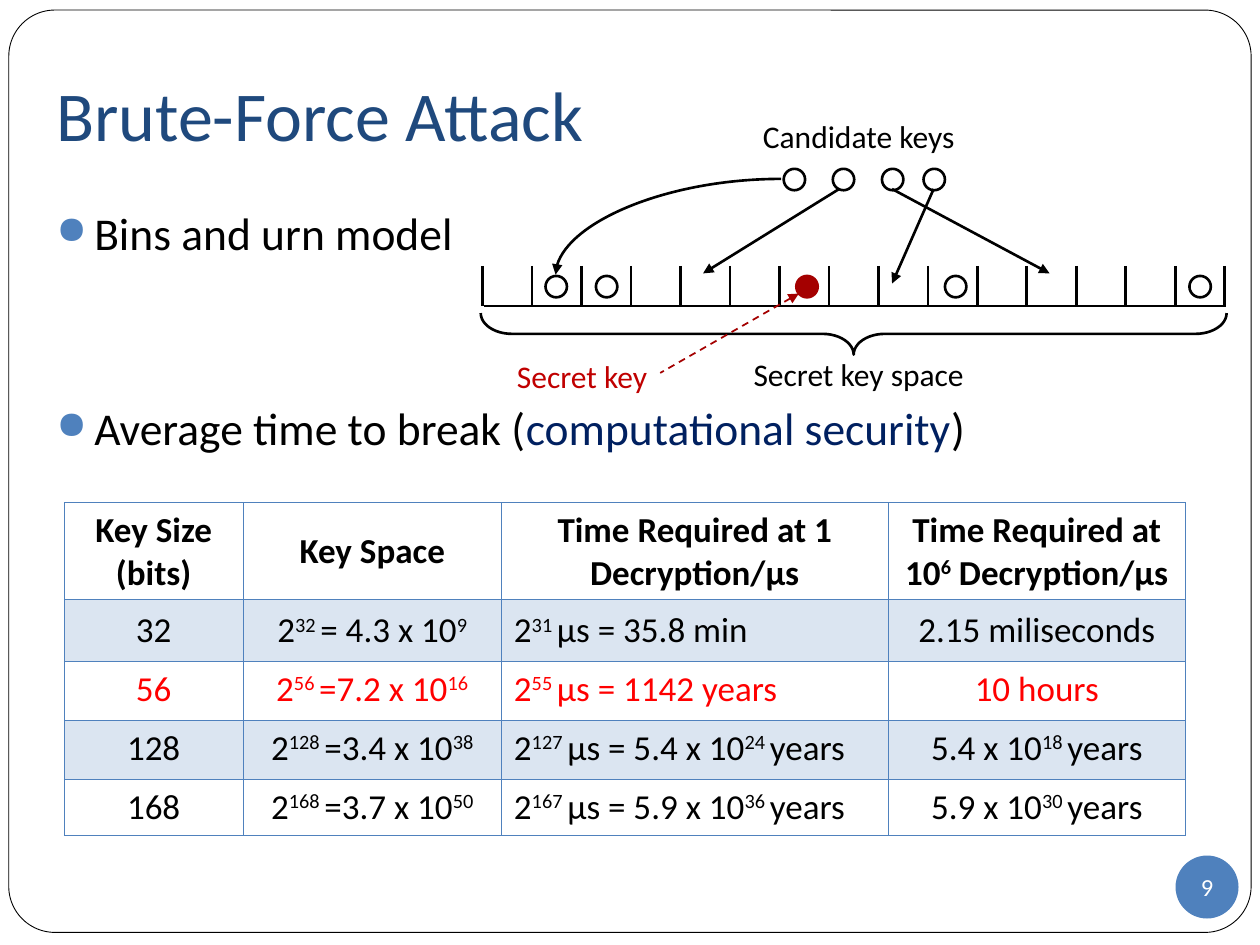
from typing import NamedTuple

from lxml import etree
from pptx import Presentation
from pptx.dml.color import RGBColor
from pptx.enum.dml import MSO_LINE
from pptx.enum.shapes import MSO_CONNECTOR, MSO_SHAPE
from pptx.enum.text import MSO_ANCHOR, PP_ALIGN
from pptx.oxml.ns import qn
from pptx.util import Inches, Pt

LEFT, CENTER = PP_ALIGN.LEFT, PP_ALIGN.CENTER
TOP, MIDDLE = MSO_ANCHOR.TOP, MSO_ANCHOR.MIDDLE
LINE, CURVE = MSO_CONNECTOR.STRAIGHT, MSO_CONNECTOR.CURVE
OVAL, CARD, BRACE = MSO_SHAPE.OVAL, MSO_SHAPE.ROUNDED_RECTANGLE, MSO_SHAPE.RIGHT_BRACE
DASH = MSO_LINE.DASH
BLACK, WHITE, BLUE, RED = "000000", "FFFFFF", "4F81BD", "A40000"


class Ball(NamedTuple):
    x: float
    y: float
    fill: str = ""
    line: str = BLACK


class Link(NamedTuple):
    x1: float
    y1: float
    x2: float
    y2: float
    kind: int = LINE
    end: str = "tailEnd"
    color: str = BLACK
    width: float = 1.5


class Label(NamedTuple):
    text: str
    x: float
    y: float
    w: float
    color: str = BLACK


BALLS = (
    [Ball(x, 2.19) for x in (4.33, 4.73, 7.5, 9.44)]
    + [Ball(x, 1.34) for x in (6.22, 6.61, 7, 7.33)]
    + [Ball(6.32, 2.19, RED, RED)]
)
WALLS = 16
STEP = 5.89 / (WALLS - 1)
BINS = [Link(3.84, 2.43, 9.73, 2.43, end="")] + [
    Link(3.83 + i * STEP, 2.11, 3.83 + i * STEP, 2.43, end="") for i in range(WALLS)
]
ARROWS = [
    Link(6.2, 1.42, 4.41, 2.18, CURVE),
    Link(6.66, 1.5, 5.58, 2.17),
    Link(7.08, 1.5, 8.33, 2.17),
    Link(7.41, 1.5, 7.08, 2.25),
    Link(6.34, 2.33, 5.24, 2.96, end="headEnd", color=RED, width=1),
]
LABELS = [
    Label("Candidate keys", 5.79, 0.91, 2.05),
    Label("Secret key space", 5.79, 2.8, 2.05),
    Label("Secret key", 3.95, 2.81, 1.34, "C00000"),
]
COLS = (1.42, 2.05, 3.07, 2.36)
ROWS = (0.77, 0.49, 0.47, 0.47, 0.44)
CELLS = [
    ["Key Size (bits)", "Key Space", "Time Required at 1 Decryption/μs",
     "Time Required at 10^6^ Decryption/μs"],
    ["32", "2^32 ^= 4.3 x 10^9", "2^31 ^μs = 35.8 min", "2.15 miliseconds"],
    ["56", "2^56 ^=7.2 x 10^16", "2^55 ^μs = 1142 years", "10 hours"],
    ["128", "2^128 ^=3.4 x 10^38", "2^127 ^μs = 5.4 x 10^24 ^years", "5.4 x 10^18 ^years"],
    ["168", "2^168 ^=3.7 x 10^50", "2^167 ^μs = 5.9 x 10^36 ^years", "5.9 x 10^30 ^years"],
]


def rgb(code: str) -> RGBColor:
    """Turn a hex string into a colour."""
    return RGBColor.from_string(code)


def sub(parent, tag: str, **attrs: str):
    """Append a drawing element and return it."""
    return etree.SubElement(parent, qn("a:" + tag), attrs)


def write(para, text: str, *, size: float, color: str = BLACK, bold: bool = False,
          align: int = LEFT, accent: str = "") -> None:
    """Write text whose parts between carets are accented, or else raised."""
    para.alignment = align
    for i, part in enumerate(text.split("^")):
        if not part:
            continue
        run = para.add_run()
        run.text = part
        font = run.font
        font.name, font.size, font.bold = "Calibri", Pt(size), bold
        font.color.rgb = rgb(accent if i % 2 and accent else color)
        if i % 2 and not accent:
            run._r.get_or_add_rPr().set("baseline", "30000")


def setup(frame, pads: tuple, *, wrap: bool = True, anchor: int = TOP) -> None:
    """Set the insets, wrapping and anchor of a text frame."""
    frame.margin_left, frame.margin_top, frame.margin_right, frame.margin_bottom = map(Inches, pads)
    frame.word_wrap, frame.vertical_anchor = wrap, anchor


def box(slide, x: float, y: float, w: float, h: float):
    """Add a text box and return its frame."""
    return slide.shapes.add_textbox(Inches(x), Inches(y), Inches(w), Inches(h)).text_frame


def shape(slide, kind: int, x: float, y: float, w: float, h: float, *,
          fill: str = "", line: str = "", width: float = 1.5):
    """Add a plain preset shape."""
    item = slide.shapes.add_shape(kind, Inches(x), Inches(y), Inches(w), Inches(h))
    item.shadow.inherit = False
    if fill:
        item.fill.solid()
        item.fill.fore_color.rgb = rgb(fill)
    else:
        item.fill.background()
    if line:
        item.line.color.rgb = rgb(line)
        item.line.width = Pt(width)
    else:
        item.line.fill.background()
    return item


def join(slide, link: Link) -> None:
    """Draw a straight or curved link with its arrowhead."""
    ends = map(Inches, (link.x1, link.y1, link.x2, link.y2))
    item = slide.shapes.add_connector(link.kind, *ends)
    item.line.color.rgb = rgb(link.color)
    item.line.width = Pt(link.width)
    if link.color == RED:
        item.line.dash_style = DASH
    props = item._element.spPr
    if link.kind == CURVE:
        props.find(qn("a:prstGeom")).set("prst", "curvedConnector2")
    if link.end:
        sub(props.find(qn("a:ln")), link.end, type="triangle")
    sub(props, "effectLst")


def bullets(slide) -> None:
    """Write the two bullet points."""
    frame = box(slide, 0.35, 1.58, 9.37, 2.2)
    setup(frame, (0.1, 0.05, 0.1, 0.05))
    lines = ["Bins and urn model", "Average time to break (^computational security^)"]
    for i, text in enumerate(lines):
        para = frame.add_paragraph() if i else frame.paragraphs[0]
        if i:
            para.space_before = Pt(80)
        props = para._p.get_or_add_pPr()
        props.set("marL", str(Inches(0.3)))
        props.set("indent", str(Inches(-0.3)))
        sub(sub(props, "buClr"), "srgbClr", val=BLUE)
        sub(props, "buSzPct", val="85000")
        sub(props, "buChar", char="●")
        write(para, text, size=26, accent="002060")


def border(cell, row: int) -> None:
    """Outline a cell, with a heavier rule under the header."""
    props = cell._tc.get_or_add_tcPr()
    for side in "LRTB":
        heavy = (row, side) in ((0, "B"), (1, "T"))
        edge = sub(props, "ln" + side, w=str(Pt(0.96 if heavy else 0.45)))
        sub(sub(edge, "solidFill"), "srgbClr", val=BLUE)


def grid(slide) -> None:
    """Build the table of key sizes."""
    table = slide.shapes.add_table(len(ROWS), len(COLS), Inches(0.51), Inches(3.99),
                                   Inches(sum(COLS)), Inches(sum(ROWS))).table
    table.first_row = table.horz_banding = False
    for col, w in zip(table.columns, COLS):
        col.width = Inches(w)
    for r, (texts, h) in enumerate(zip(CELLS, ROWS)):
        table.rows[r].height = Inches(h)
        for c, text in enumerate(texts):
            cell = table.cell(r, c)
            cell.vertical_anchor = MIDDLE if r < 2 else TOP
            border(cell, r)
            if r % 2:
                cell.fill.solid()
                cell.fill.fore_color.rgb = rgb(BLUE)
                sub(cell._tc.tcPr.find(qn("a:solidFill"))[0], "alpha", val="20000")
            else:
                cell.fill.background()
            write(cell.text_frame.paragraphs[0], text, size=20, bold=r == 0,
                  color="FF0000" if r == 2 else BLACK,
                  align=LEFT if r and c == 2 else CENTER)


def main() -> None:
    """Build and save the slide."""
    deck = Presentation()
    deck.slide_width, deck.slide_height = Inches(10), Inches(7.5)
    slide = deck.slides.add_slide(deck.slide_layouts[6])
    card = shape(slide, CARD, 0.07, 0.08, 9.86, 7.32, fill=WHITE, line=BLACK, width=0.5)
    card.adjustments[0] = 0.05
    title = box(slide, 0.35, 0.3, 9.37, 1.25)
    setup(title, (0.1, 0.05, 0.1, 0.1), anchor=MIDDLE)
    write(title.paragraphs[0], "Brute-Force Attack", size=40, color="1F497D")
    bullets(slide)
    badge = shape(slide, OVAL, 9.33, 6.79, 0.5, 0.5, fill=BLUE).text_frame
    setup(badge, (0, 0, 0, 0), wrap=False, anchor=MIDDLE)
    write(badge.paragraphs[0], "9", size=14, color=WHITE, align=CENTER)
    for ball in BALLS:
        shape(slide, OVAL, ball.x, ball.y, 0.17, 0.17, fill=ball.fill, line=ball.line)
    brace = shape(slide, BRACE, 6.61, -0.31, 0.33, 5.92, line=BLACK)
    brace.rotation = 90
    brace.adjustments[0] = 0.75
    for link in BINS + ARROWS:
        join(slide, link)
    for label in LABELS:
        frame = box(slide, label.x, label.y, label.w, 0.39)
        setup(frame, (0, 0.02, 0, 0), wrap=False)
        write(frame.paragraphs[0], label.text, size=18, color=label.color, align=CENTER)
    grid(slide)
    deck.save("out.pptx")


if __name__ == "__main__":
    main()
